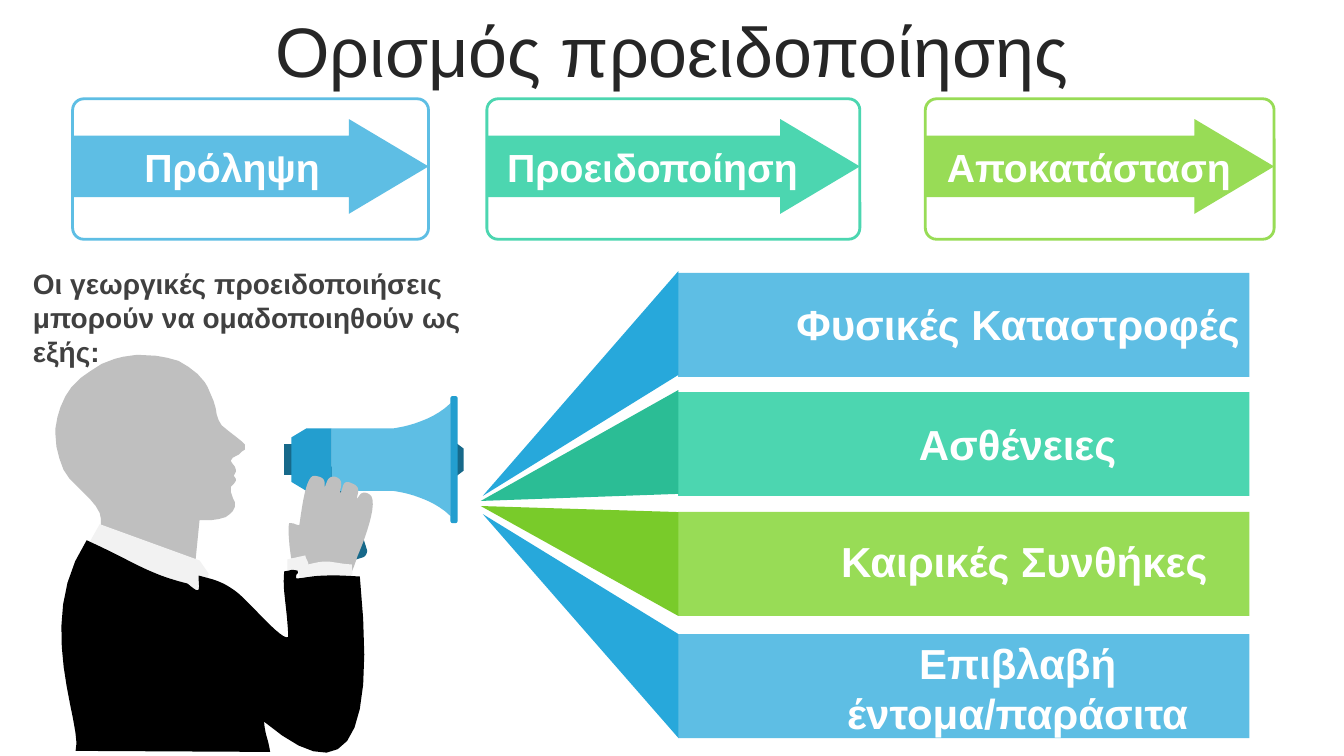
from pptx import Presentation
from pptx.dml.color import RGBColor
from pptx.enum.shapes import MSO_SHAPE as SHAPE
from pptx.enum.text import MSO_ANCHOR as ANCHOR, MSO_AUTO_SIZE as FIT, PP_ALIGN as ALIGN
from pptx.util import Cm, Pt

BLUE, TEAL, GREEN = "5EBEE4", "4CD6B0", "98DC56"
MID_BLUE, DARK_BLUE = "239ECF", "17698A"
SKIN, LINEN, SUIT = "BFBFBF", "F2F2F2", "000000"

# label, colour, card left and width, label left and width (cm)
STEPS = [
    ("Πρόληψη", BLUE, 1.83, 8.97, 3.07, 5.56),
    ("Προειδοποίηση", TEAL, 12.27, 9.4, 12.37, 8.15),
    ("Αποκατάσταση", GREEN, 23.32, 8.79, 22.78, 9.32),
]

# label, alignment, colour, bar top, label box (cm)
BARS = [
    ("Φυσικές Καταστροφές", ALIGN.RIGHT, BLUE, 6.88, (19.71, 7.39, 11.79, 1.55)),
    ("Ασθένειες", ALIGN.CENTER, TEAL, 9.88, (20.55, 10.41, 10.19, 1.55)),
    ("Καιρικές Συνθήκες", ALIGN.RIGHT, GREEN, 12.9, (20.5, 13.36, 10.19, 1.55)),
    ("Επιβλαβή έντομα/παράσιτα", ALIGN.CENTER, BLUE, 15.98, (19.96, 15.93, 11.38, 2.82)),
]

# Outlines are in hundredths of 2.54 cm: a pair is a corner,
# six numbers are a Bézier curve (two controls and the end)
RAYS = [
    ("27A8DB", [(673, 372), (479, 492), (673, 269)]),
    ("2BBD95", [(673, 490), (477, 497), (673, 387)]),
    ("79CB2A", [(673, 611), (477, 502), (673, 508)]),
    ("27A8DB", [(673, 732), (479, 510), (673, 629)]),
]

TRIGGER = [(358, 521), (355, 522), (354, 522, 352, 521, 352, 520), (347, 505),
           (347, 504, 348, 503, 349, 502), (352, 501),
           (353, 501, 355, 502, 355, 503), (360, 517), (360, 519, 359, 520, 358, 521)]
MOUTH = [(452, 439), (450, 455), (450, 457), (452, 473), (460, 467), (460, 445)]
HANDLE = [(360, 553), (344, 558), (341, 559, 338, 557, 337, 554), (312, 475),
          (311, 472, 313, 468, 316, 467), (332, 462),
          (335, 461, 338, 463, 339, 466), (364, 545), (365, 548, 363, 552, 360, 553)]
HORN = [(390, 425), (329, 425), (329, 487), (390, 487),
        (390, 487, 426, 491, 447, 512), (447, 400), (426, 421, 390, 425, 390, 425)]
RIM = [(452, 519), (449, 519), (448, 519, 447, 518, 447, 517), (447, 395),
       (447, 394, 448, 393, 449, 393), (452, 393),
       (453, 393, 454, 394, 454, 395), (454, 517), (454, 518, 453, 519, 452, 519)]
CAP = [(282, 441), (297, 441), (297, 471), (282, 471)]
BODY = [(304, 425), (289, 434), (289, 478), (304, 487), (329, 487), (329, 425)]
MEGAPHONE = [(BLUE, TRIGGER), (DARK_BLUE, MOUTH), (DARK_BLUE, HANDLE), (BLUE, HORN),
             (MID_BLUE, RIM), (DARK_BLUE, CAP), (MID_BLUE, BODY)]

HAND = [(301, 565), (300, 560, 301, 560, 300, 557), (295, 555, 297, 556, 289, 554),
        (288, 550, 285, 524, 287, 519), (294, 519, 290, 520, 297, 521),
        (300, 500, 304, 471, 312, 472), (321, 473, 323, 476, 322, 484),
        (325, 477, 325, 472, 333, 473), (344, 477, 335, 488, 338, 489),
        (341, 482, 340, 476, 348, 479), (360, 483, 354, 490, 354, 495),
        (357, 492, 358, 486, 366, 490), (378, 495, 359, 542, 355, 551),
        (351, 563, 348, 571, 342, 581), (328, 575, 322, 572, 301, 565)]
HEAD = [(129, 353), (136, 352), (155, 353), (166, 355), (177, 358), (187, 364),
        (196, 371), (203, 379), (206, 384), (212, 398), (214, 405), (215, 411),
        (217, 417), (220, 422), (226, 427), (235, 434), (240, 438), (243, 441),
        (243, 446), (240, 448), (237, 451), (231, 454), (229, 457), (230, 459),
        (233, 463), (234, 466), (234, 468), (232, 472), (234, 475), (234, 477),
        (232, 480), (229, 483), (229, 488), (231, 494), (233, 498), (233, 503),
        (231, 507), (228, 510), (224, 513), (217, 515), (210, 516), (198, 516),
        (194, 556), (100, 527), (100, 514), (99, 509), (95, 502), (90, 496),
        (83, 489), (76, 482), (69, 475), (63, 466), (59, 455), (56, 443),
        (55, 431), (55, 425), (57, 414), (60, 404), (65, 393), (71, 384),
        (80, 375), (90, 368), (101, 361), (114, 356), (122, 354)]
COLLAR = [(86, 543), (99, 520), (198, 556), (207, 569), (205, 581), (198, 577),
          (197, 588), (156, 576, 123, 557, 86, 543)]
CUFF = [(285, 567), (285, 555), (303, 551), (303, 554, 306, 557, 306, 560),
        (329, 554, 328, 559, 349, 560), (350, 575), (333, 573, 315, 576, 298, 576),
        (296, 566)]
JACKET = [(86, 536), (32, 618, 83, 720, 75, 745), (268, 746),
          (266, 732, 263, 730, 262, 716), (337, 779, 375, 752, 357, 572),
          (312, 569, 309, 573, 294, 574), (293, 567, 297, 571, 295, 566),
          (287, 565, 293, 565, 282, 567), (280, 587, 285, 603, 286, 632),
          (280, 637, 247, 596, 233, 586), (218, 575, 207, 574, 197, 571),
          (197, 584, 201, 592, 186, 579), (146, 569, 134, 558, 86, 536)]
SPEAKER = [(SKIN, HAND), (SKIN, HEAD), (LINEN, COLLAR), (LINEN, CUFF), (SUIT, JACKET)]


def rgb(hex_colour):
    return RGBColor.from_string(hex_colour)


def paint(sp, fill, line=None):
    sp.shadow.inherit = False
    sp.fill.solid()
    sp.fill.fore_color.rgb = rgb(fill)
    if line:
        sp.line.color.rgb = rgb(line)
        sp.line.width = Pt(2)
    else:
        sp.line.fill.background()


def add_preset(s, kind, box, fill, line=None, adjust=()):
    sp = s.shapes.add_shape(kind, *map(Cm, box))
    for i, value in enumerate(adjust):
        sp.adjustments[i] = value
    paint(sp, fill, line)


def write(sp, text, size, colour, align, bold=True):
    tf = sp.text_frame
    tf.word_wrap = True
    p = tf.paragraphs[0]
    p.text = text
    p.alignment = align
    p.font.name = "Arial"
    p.font.size = Pt(size)
    p.font.bold = bold
    p.font.color.rgb = rgb(colour)
    return tf


def add_label(s, box, text, size, colour="FFFFFF", align=ALIGN.CENTER):
    tf = write(s.shapes.add_textbox(*map(Cm, box)), text, size, colour, align)
    tf.auto_size = FIT.SHAPE_TO_FIT_TEXT


def bezier(a, b, c, d, t):
    u = 1 - t
    return u**3 * a + 3 * u * u * t * b + 3 * u * t * t * c + t**3 * d


def flatten(outline, steps=12):
    points = [outline[0]]
    for part in outline[1:]:
        if len(part) == 2:
            points.append(part)
            continue
        x, y = points[-1]
        for i in range(1, steps + 1):
            points.append((bezier(x, *part[::2], i / steps),
                           bezier(y, *part[1::2], i / steps)))
    return [(10 * x, 10 * y) for x, y in points]


def add_outline(shapes, colour, outline):
    start, *rest = flatten(outline)
    builder = shapes.build_freeform(*start, scale=Cm(2.54) / 1000)
    builder.add_line_segments(rest, close=True)
    paint(builder.convert_to_shape(), colour)


def add_drawing(s, parts):
    group = s.shapes.add_group_shape()
    for colour, outline in parts:
        add_outline(group.shapes, colour, outline)


def add_title(s, text):
    sp = s.shapes.title
    sp.left, sp.top, sp.width, sp.height = map(Cm, (0.86, 0.43, 32.16, 2.01))
    tf = write(sp, text, 50, "262626", ALIGN.CENTER, bold=False)
    tf.auto_size = FIT.NONE
    tf.vertical_anchor = ANCHOR.MIDDLE
    tf.paragraphs[0].line_spacing = 0.8


def main():
    prs = Presentation()
    prs.slide_width, prs.slide_height = Cm(33.87), Cm(19.05)
    s = prs.slides.add_slide(prs.slide_layouts[5])
    add_title(s, "Ορισμός προειδοποίησης")

    # Three steps
    for text, colour, left, width, text_left, text_width in STEPS:
        add_preset(s, SHAPE.ROUNDED_RECTANGLE, (left, 2.49, width, 3.54),
                   "FFFFFF", colour, [0.08])
        add_preset(s, SHAPE.RIGHT_ARROW, (left, 3, width, 2.39), colour, adjust=[0.65, 0.84])
        add_label(s, (text_left, 3.48, text_width, 1.45), text, 28)

    # Groups of warnings
    for text, align, colour, top, box in BARS:
        add_preset(s, SHAPE.RECTANGLE, (17.09, top, 14.4, 2.62), colour)
        add_label(s, box, text, 30, align=align)
    for colour, outline in RAYS:
        add_outline(s.shapes, colour, outline)
    add_label(s, (0.58, 6.6, 11.46, 2.82),
              "Οι γεωργικές προειδοποιήσεις μπορούν να ομαδοποιηθούν ως εξής:",
              20, "404040", ALIGN.LEFT)

    # Speaker with megaphone
    add_drawing(s, MEGAPHONE)
    add_drawing(s, SPEAKER)
    prs.save("out.pptx")


if __name__ == "__main__":
    main()
